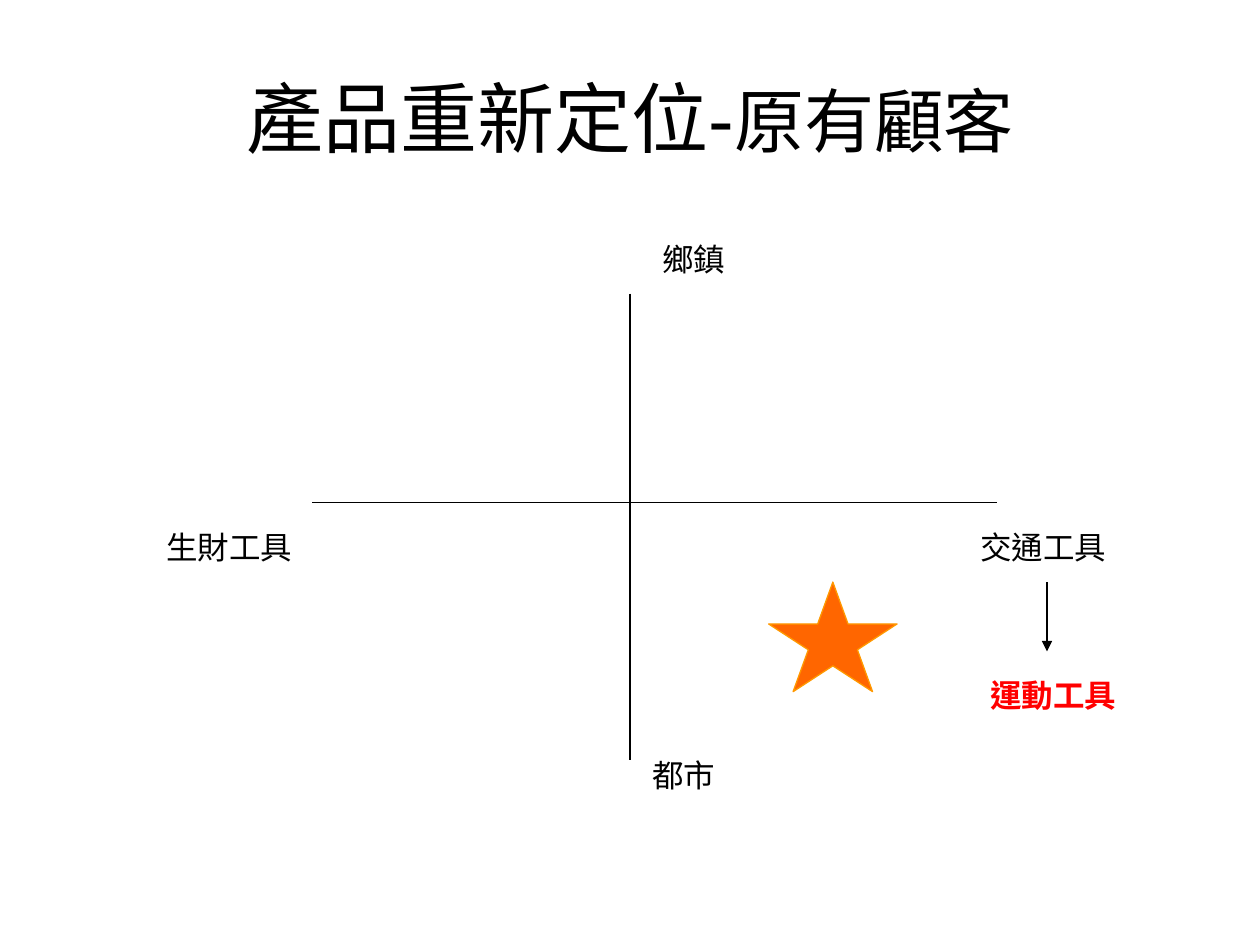
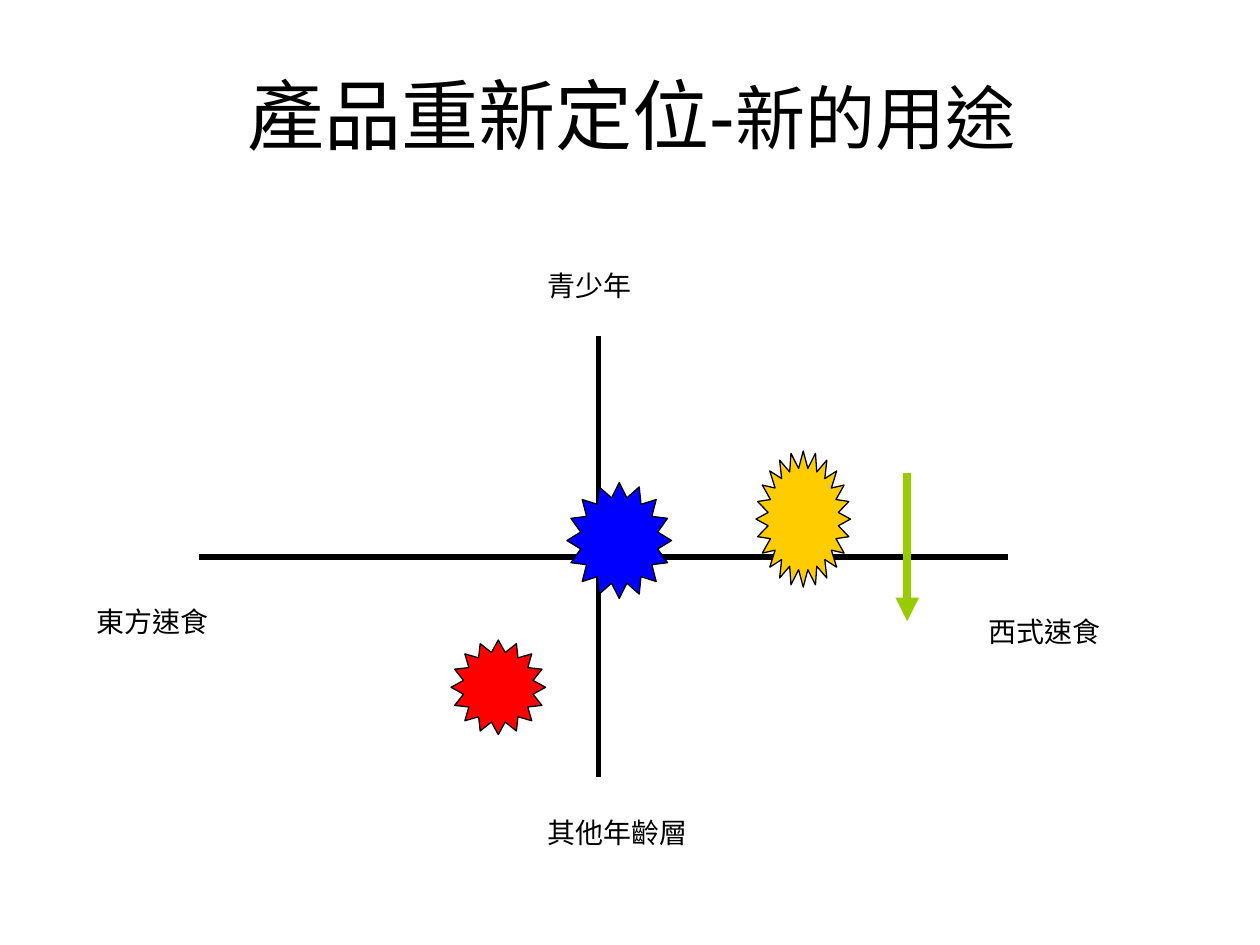
"""Build two positioning maps for a product, one map to a slide."""
import dataclasses

import pptx
import pptx.dml.color
import pptx.enum.shapes
import pptx.enum.text
import pptx.oxml.ns
import pptx.util
from lxml import etree

Inches = pptx.util.Inches
Pt = pptx.util.Pt
Star = pptx.enum.shapes.MSO_SHAPE
Fit = pptx.enum.text.MSO_AUTO_SIZE


@dataclasses.dataclass(frozen=True)
class Theme:
    sans: str = "Arial"
    serif: str = "Times New Roman"
    black: str = "000000"
    red: str = "FF0000"
    blue: str = "0000FF"
    orange: str = "FF6600"
    amber: str = "FF9900"
    gold: str = "FFCC00"
    green: str = "99CC00"
    head: int = 44
    topic: int = 40
    large: int = 18
    small: int = 16
    thin: float = 0.75
    thick: float = 3
    heavy: float = 4.5


def paint(code):
    return pptx.dml.color.RGBColor.from_string(code)


def write(para, text, size, font, color, bold=False):
    run = para.add_run()
    run.text = text
    run.font.size = Pt(size)
    run.font.name = font
    run.font.bold = bold
    run.font.color.rgb = paint(color)
    run._r.get_or_add_rPr().set("lang", "zh-TW")


class Deck:
    def __init__(self, theme):
        self.theme = theme
        self.show = pptx.Presentation()
        self.show.slide_width = Inches(10)
        self.show.slide_height = Inches(7.5)
        self.slide = None

    def title(self, topic, left, top):
        look = self.theme
        self.slide = self.show.slides.add_slide(self.show.slide_layouts[5])
        shape = self.slide.shapes.title
        shape.left, shape.top = Inches(left), Inches(top)
        shape.width, shape.height = Inches(9), Inches(1.25)
        frame = shape.text_frame
        frame.auto_size = Fit.NONE
        frame.vertical_anchor = pptx.enum.text.MSO_ANCHOR.MIDDLE
        para = frame.paragraphs[0]
        para.alignment = pptx.enum.text.PP_ALIGN.CENTER
        for text, size in (("產品重新定位-", look.head), (topic, look.topic)):
            write(para, text, size=size, font=look.sans, color=look.black)

    def label(self, text, left, top, width, size, font, color=None, bold=False):
        high = 0.4 if size == self.theme.large else 0.37
        box = self.slide.shapes.add_textbox(
            Inches(left), Inches(top), Inches(width), Inches(high))
        frame = box.text_frame
        frame.word_wrap = True
        frame.auto_size = Fit.SHAPE_TO_FIT_TEXT
        para = frame.paragraphs[0]
        para.space_before = Pt(round(size * 0.625, 1))
        write(para, text, size=size, font=font,
              color=color or self.theme.black, bold=bold)

    def line(self, start, end, width, color=None, arrow=False):
        link = self.slide.shapes.add_connector(
            pptx.enum.shapes.MSO_CONNECTOR.STRAIGHT,
            *(Inches(n) for n in start + end))
        link.line.width = Pt(width)
        link.line.color.rgb = paint(color or self.theme.black)
        if arrow:
            tail = etree.SubElement(
                link.line._get_or_add_ln(), pptx.oxml.ns.qn("a:tailEnd"))
            tail.set("type", "triangle")
        etree.SubElement(link._element.spPr, pptx.oxml.ns.qn("a:effectLst"))

    def axes(self, left, right, top, base, center, width):
        across, down = center
        self.line((left, down), (right, down), width)
        self.line((across, top), (across, base), width)

    def star(self, kind, left, top, width, height, fill, edge=None):
        shape = self.slide.shapes.add_shape(
            kind, Inches(left), Inches(top), Inches(width), Inches(height))
        shape.shadow.inherit = False
        shape.fill.solid()
        shape.fill.fore_color.rgb = paint(fill)
        shape.line.color.rgb = paint(edge or self.theme.black)
        shape.line.width = Pt(self.theme.thin)


def users(deck):
    look = deck.theme
    style = dict(size=look.large, font=look.sans)
    deck.title("原有顧客", 0.5, 0.3)
    deck.axes(2.48, 7.91, 2.33, 6.03, (5, 3.99), look.thin)
    for text, left, top, width in (
            ("鄉鎮", 5.16, 1.86, 1.5),
            ("都市", 5.08, 5.95, 1.42),
            ("交通工具", 7.68, 4.14, 1.57),
            ("生財工具", 1.22, 4.14, 1.5)):
        deck.label(text, left, top, width, **style)
    deck.star(Star.STAR_5_POINT, 6.1, 4.62, 1.02, 0.87, look.orange, look.amber)
    deck.line((8.31, 4.62), (8.31, 5.17), look.thin, arrow=True)
    deck.label("運動工具", 7.76, 5.32, 1.26, color=look.red, bold=True, **style)


def uses(deck):
    look = deck.theme
    deck.title("新的用途", 0.51, 0.28)
    deck.axes(1.58, 8, 2.67, 6.17, (4.75, 4.42), look.thick)
    for text, left, top in (
            ("西式速食", 7.75, 4.83),
            ("東方速食", 0.67, 4.75),
            ("其他年齡層", 4.25, 6.42),
            ("青少年", 4.25, 2.08)):
        deck.label(text, left, top, 1.42, size=look.small, font=look.serif)
    deck.star(Star.STAR_24_POINT, 6, 3.58, 0.75, 1.08, look.gold)
    deck.star(Star.STAR_16_POINT, 3.58, 5.08, 0.75, 0.75, look.red)
    deck.star(Star.STAR_16_POINT, 4.5, 3.83, 0.83, 0.92, look.blue)
    deck.line((7.2, 3.75), (7.2, 4.93), look.heavy, look.green, arrow=True)


def main():
    deck = Deck(Theme())
    users(deck)
    uses(deck)
    deck.show.save("out.pptx")


if __name__ == "__main__":
    main()
